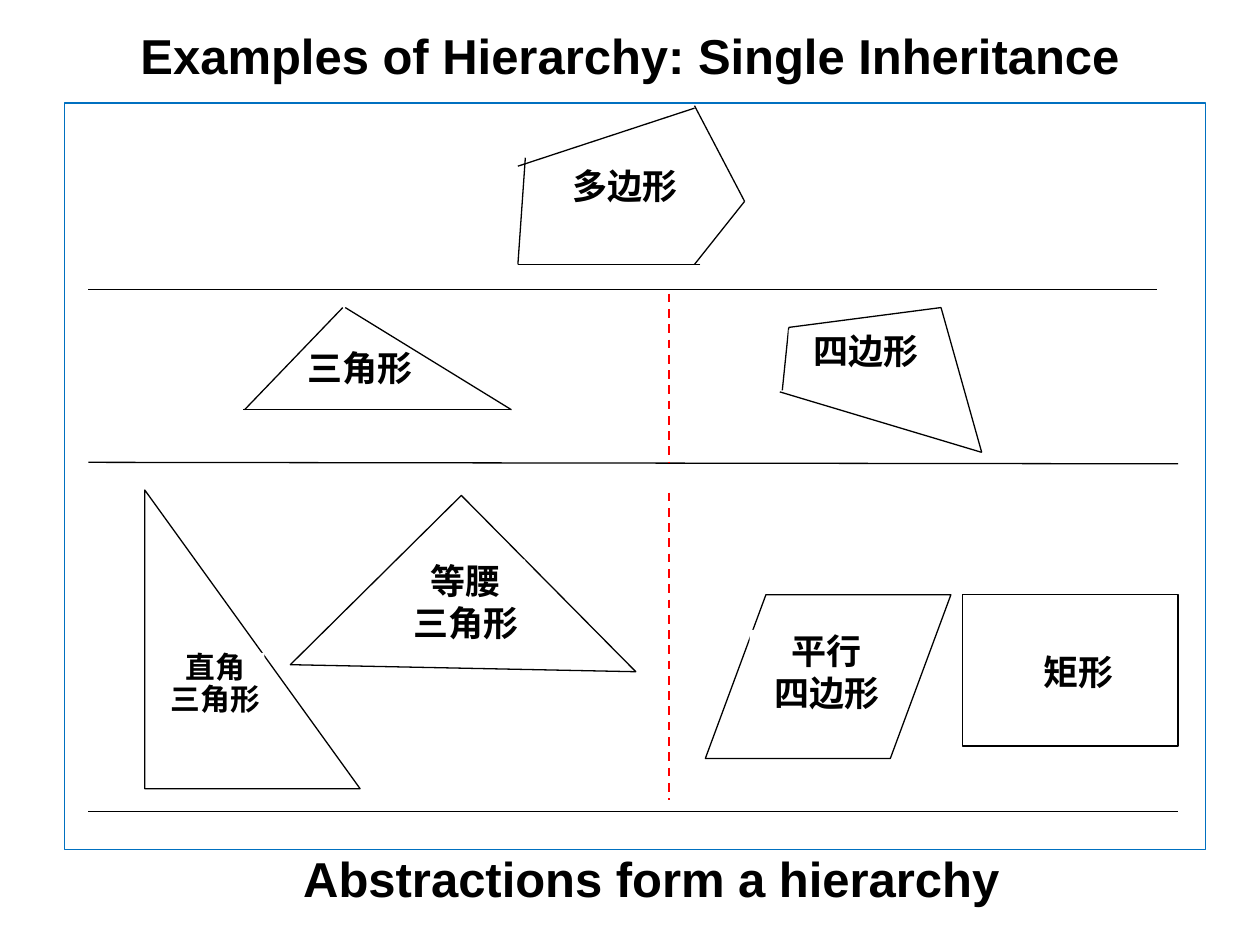
from dataclasses import dataclass

from lxml.etree import SubElement
from pptx import Presentation
from pptx.dml.color import RGBColor as Color
from pptx.enum.dml import MSO_LINE_DASH_STYLE as Dash
from pptx.enum.shapes import MSO_CONNECTOR as Connector, MSO_SHAPE as Preset
from pptx.enum.text import MSO_ANCHOR as Anchor, PP_ALIGN as Align
from pptx.oxml.ns import qn
from pptx.util import Cm, Pt


@dataclass(frozen=True)
class Theme:
    ink: Color = Color(0, 0, 0)
    paper: Color = Color(255, 255, 255)
    frame: Color = Color(0x00, 0x70, 0xC0)
    divider: Color = Color(255, 0, 0)
    heading_font: str = "Arial"
    label_font: str = "Noto Sans CJK SC"
    heading_size: int = 28
    label_size: int = 20
    small_size: int = 17
    thin: float = 0.75
    thick: float = 1.25


THEME = Theme()


def add_line(slide, start, end, color=THEME.ink, width=THEME.thin, dash=None):
    line = slide.shapes.add_connector(
        Connector.STRAIGHT, *[Cm(value) for value in (*start, *end)])
    line.line.color.rgb = color
    line.line.width = Pt(width)
    if dash:
        line.line.dash_style = dash
    SubElement(line._element.spPr, qn("a:effectLst"))


def add_lines(slide, segments):
    for start, end in segments:
        add_line(slide, start, end)


def add_figure(slide, preset, box, fill=THEME.paper, line=THEME.ink):
    shape = slide.shapes.add_shape(preset, *map(Cm, box))
    shape.shadow.inherit = False
    if fill is None:
        shape.fill.background()
    else:
        shape.fill.solid()
        shape.fill.fore_color.rgb = fill
    if line is None:
        shape.line.fill.background()
    else:
        shape.line.color.rgb = line
        shape.line.width = Pt(THEME.thin)
    return shape


def add_text(shape, text, font=THEME.label_font, size=THEME.label_size,
             anchor=Anchor.TOP, inset=(0, 0), spacing=None):
    frame = shape.text_frame
    frame.word_wrap = True
    frame.vertical_anchor = anchor
    frame.margin_left = frame.margin_right = Cm(inset[0])
    frame.margin_top = frame.margin_bottom = Cm(inset[1])
    for index, content in enumerate(text.split("\n")):
        paragraph = frame.paragraphs[0] if index == 0 else frame.add_paragraph()
        paragraph.alignment = Align.CENTER
        if spacing:
            paragraph.line_spacing = spacing
        run = paragraph.add_run()
        run.text = content
        run.font.name = font
        run.font.size = Pt(size)
        run.font.bold = True
        run.font.color.rgb = THEME.ink
        SubElement(run._r.get_or_add_rPr(), qn("a:ea"), typeface=font)


def add_label(slide, text, box, **style):
    add_text(add_figure(slide, Preset.RECTANGLE, box, line=None), text, **style)


def add_heading(slide, text, box):
    add_text(slide.shapes.add_textbox(*map(Cm, box)), text,
             font=THEME.heading_font, size=THEME.heading_size,
             anchor=Anchor.MIDDLE, inset=(0.25, 0.13))


def main():
    presentation = Presentation()
    presentation.slide_width, presentation.slide_height = Cm(25.4), Cm(19.05)
    slide = presentation.slides.add_slide(presentation.slide_layouts[6])

    # Frame and level rules
    add_figure(slide, Preset.RECTANGLE, (1.3, 2.08, 23.01, 15.04),
               fill=None, line=THEME.frame)
    add_lines(slide, [((1.78, 5.84), (23.32, 5.84)),
                      ((1.78, 9.32), (23.75, 9.35)),
                      ((1.78, 16.36), (23.75, 16.36))])

    # Middle level: triangle and quadrilateral
    add_label(slide, "三角形", (5.69, 6.86, 3.12, 1.7), inset=(0.25, 0.13))
    add_lines(slide, [((4.93, 8.26), (6.91, 6.2)),
                      ((6.96, 6.2), (10.31, 8.26)),
                      ((4.9, 8.26), (10.31, 8.26))])
    add_lines(slide, [((15.9, 6.6), (18.97, 6.2)),
                      ((15.9, 6.6), (15.77, 7.87)),
                      ((19.79, 9.12), (18.97, 6.2)),
                      ((15.72, 7.9), (19.79, 9.12))])
    add_label(slide, "四边形", (15.9, 6.65, 3.12, 0.84))

    # Bottom level: special triangles and quadrilaterals
    add_figure(slide, Preset.RIGHT_TRIANGLE, (2.92, 9.88, 4.34, 6.02))
    add_label(slide, "直角\n三角形", (3.35, 13.16, 1.98, 2.29),
              size=THEME.small_size, spacing=0.9)
    isosceles = add_figure(slide, Preset.RIGHT_TRIANGLE, (6.91, 10.97, 4.85, 5))
    isosceles.rotation = 135.3
    add_label(slide, "等腰\n三角形", (8.2, 11.28, 2.39, 1.78))
    parallelogram = add_figure(slide, Preset.PARALLELOGRAM,
                               (14.22, 11.99, 4.95, 3.3))
    parallelogram.adjustments[0] = 0.37
    add_label(slide, "平行\n四边形", (15.11, 12.7, 3.12, 1.7))
    add_figure(slide, Preset.RECTANGLE, (19.41, 11.99, 4.34, 3.05))
    add_label(slide, "矩形", (20.19, 13.11, 3.12, 0.84))

    # Top level: polygon
    add_label(slide, "多边形", (10.59, 3.18, 4.01, 1.7), inset=(0.25, 0.13))
    add_lines(slide, [((10.59, 3.18), (10.44, 5.33)),
                      ((14.12, 5.33), (10.44, 5.33)),
                      ((15.01, 4.06), (14, 5.33)),
                      ((15.01, 4.06), (14, 2.13)),
                      ((14, 2.18), (10.44, 3.35))])

    # Title and closing statement
    add_heading(slide, "Examples of Hierarchy: Single Inheritance",
                (1.27, 0.33, 22.86, 1.55))
    add_heading(slide, "Abstractions form a hierarchy",
                (1.7, 16.92, 22.86, 1.55))

    # Dashed dividers between the two branches
    for top, bottom in [(9.93, 16.13), (5.92, 9.32)]:
        add_line(slide, (13.49, top), (13.49, bottom), color=THEME.divider,
                 width=THEME.thick, dash=Dash.DASH)

    presentation.save("out.pptx")


if __name__ == "__main__":
    main()
